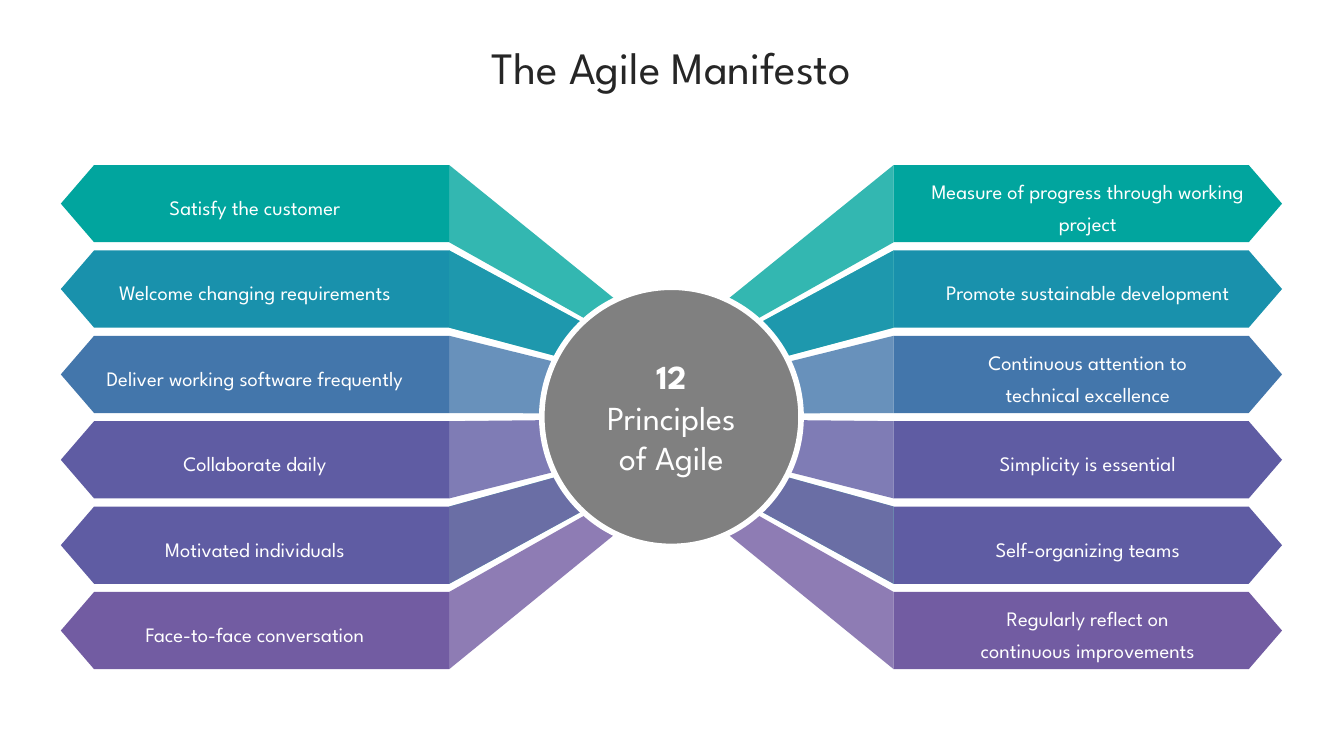
from dataclasses import dataclass

from lxml import etree
from pptx import Presentation
from pptx.dml.color import RGBColor
from pptx.enum.shapes import MSO_SHAPE
from pptx.enum.text import MSO_ANCHOR, MSO_AUTO_SIZE, PP_ALIGN
from pptx.oxml.ns import qn
from pptx.util import Cm, Pt

CENTER = PP_ALIGN.CENTER
MIDDLE = MSO_ANCHOR.MIDDLE
NO_AUTOFIT = MSO_AUTO_SIZE.NONE
ELLIPSE = MSO_SHAPE.OVAL
TITLE_ONLY = 5


@dataclass(frozen=True)
class Theme:
    font: str = "League Spartan"
    ink: str = "262626"
    white: str = "FFFFFF"
    hub: str = "808080"
    teal: str = "01A59E"
    cyan: str = "1991AC"
    blue: str = "4376AB"
    indigo: str = "5F5CA3"
    violet: str = "785CA3"
    purple: str = "725CA2"
    title_size: int = 24
    hub_size: int = 18
    band_size: int = 11
    ray_opacity: int = 80


THEME = Theme()
AXIS_X, AXIS_Y = 12.69, 7.88
FIRST_TOP, LAST_TOP, BAND_HEIGHT = 3.12, 11.19, 1.46
BAND_START, BAND_SHOULDER, BAND_TIP, RAY_END = 4.2, 10.91, 11.54, 0.27
HUB_DIAMETER = 4.9

ROWS = [
    (["Satisfy the customer"], ["Measure of progress through working project"],
     THEME.teal, [THEME.teal], 6.3, 6.79),
    (["Welcome changing requirements"], ["Promote sustainable development"],
     THEME.cyan, [THEME.teal, THEME.cyan], 6.86, 7.24),
    (["Deliver working software frequently"],
     ["Continuous attention to", "technical excellence"],
     THEME.blue, [THEME.blue], 7.32, 7.82),
    (["Collaborate daily"], ["Simplicity is essential"],
     THEME.indigo, [THEME.indigo], 7.92, 8.43),
    (["Motivated individuals"], ["Self-organizing teams"],
     THEME.indigo, [THEME.teal, THEME.violet], 8.49, 8.89),
    (["Face-to-face conversation"],
     ["Regularly reflect on", "continuous improvements"],
     THEME.purple, [THEME.purple], 8.97, 9.45),
]


class SlideBuilder:
    """Draw styled elements on the current slide."""

    def __init__(self, page, theme):
        self.page = page
        self.theme = theme

    def add_span(self, para, text, size, color, bold=False):
        para.alignment = CENTER
        span = para.add_run()
        span.text = text
        span.font.name = self.theme.font
        span.font.size = Pt(size)
        span.font.bold = bold
        span.font.color.rgb = RGBColor.from_string(color)

    def title(self, text, left, top, width, height):
        box = self.page.shapes.title
        box.left, box.top, box.width, box.height = map(Cm, (left, top, width, height))
        frame = box.text_frame
        frame.auto_size = NO_AUTOFIT
        frame.vertical_anchor = MIDDLE
        frame.margin_left = frame.margin_right = 0
        frame.margin_top = frame.margin_bottom = 0
        self.add_span(frame.paragraphs[0], text, self.theme.title_size, self.theme.ink)

    def paint(self, shape, color):
        shape.shadow.inherit = False
        shape.fill.solid()
        shape.fill.fore_color.rgb = RGBColor.from_string(color)
        shape.line.fill.background()

    def polygon(self, side, points, color):
        corners = [(Cm(AXIS_X + side * x), Cm(y)) for x, y in points]
        builder = self.page.shapes.build_freeform(*corners[0])
        builder.add_line_segments(corners[1:], close=True)
        shape = builder.convert_to_shape()
        self.paint(shape, color)
        return shape

    def band(self, side, top, lines, color):
        bottom = top + BAND_HEIGHT
        shape = self.polygon(side, [
            (BAND_START, top), (BAND_SHOULDER, top),
            (BAND_TIP, (top + bottom) / 2),
            (BAND_SHOULDER, bottom), (BAND_START, bottom)], color)
        frame = shape.text_frame
        frame.word_wrap = True
        frame.vertical_anchor = MIDDLE
        for index, line in enumerate(lines):
            para = frame.add_paragraph() if index else frame.paragraphs[0]
            para.line_spacing = 1.3
            self.add_span(para, line, self.theme.band_size, self.theme.white)

    def ray(self, side, top, hub_top, hub_bottom, color):
        shape = self.polygon(side, [
            (BAND_START, top), (RAY_END, hub_top),
            (RAY_END, hub_bottom), (BAND_START, top + BAND_HEIGHT)], color)
        tint = shape.element.spPr.find(qn("a:solidFill"))[0]
        etree.SubElement(tint, qn("a:alpha"), val=str(self.theme.ray_opacity * 1000))

    def hub(self, spans):
        radius = HUB_DIAMETER / 2
        shape = self.page.shapes.add_shape(
            ELLIPSE, Cm(AXIS_X - radius), Cm(AXIS_Y - radius),
            Cm(HUB_DIAMETER), Cm(HUB_DIAMETER))
        self.paint(shape, self.theme.hub)
        shape.line.color.rgb = RGBColor.from_string(self.theme.white)
        shape.line.width = Pt(3)
        frame = shape.text_frame
        frame.word_wrap = True
        frame.vertical_anchor = MIDDLE
        for text, bold in spans:
            self.add_span(frame.paragraphs[0], text, self.theme.hub_size,
                          self.theme.white, bold)


def main():
    deck = Presentation()
    deck.slide_width, deck.slide_height = Cm(25.4), Cm(14.29)
    page = deck.slides.add_slide(deck.slide_layouts[TITLE_ONLY])
    builder = SlideBuilder(page, THEME)
    builder.title("The Agile Manifesto", 1.07, 0.58, 23.24, 1.37)

    pitch = (LAST_TOP - FIRST_TOP) / (len(ROWS) - 1)
    for index, (left, right, color, layers, hub_top, hub_bottom) in enumerate(ROWS):
        top = FIRST_TOP + index * pitch
        for side, lines in ((-1, left), (1, right)):
            builder.band(side, top, lines, color)
            for layer in layers:
                builder.ray(side, top, hub_top, hub_bottom, layer)

    builder.hub([("12", True), (" Principles of Agile", False)])
    deck.save("out.pptx")


if __name__ == "__main__":
    main()
